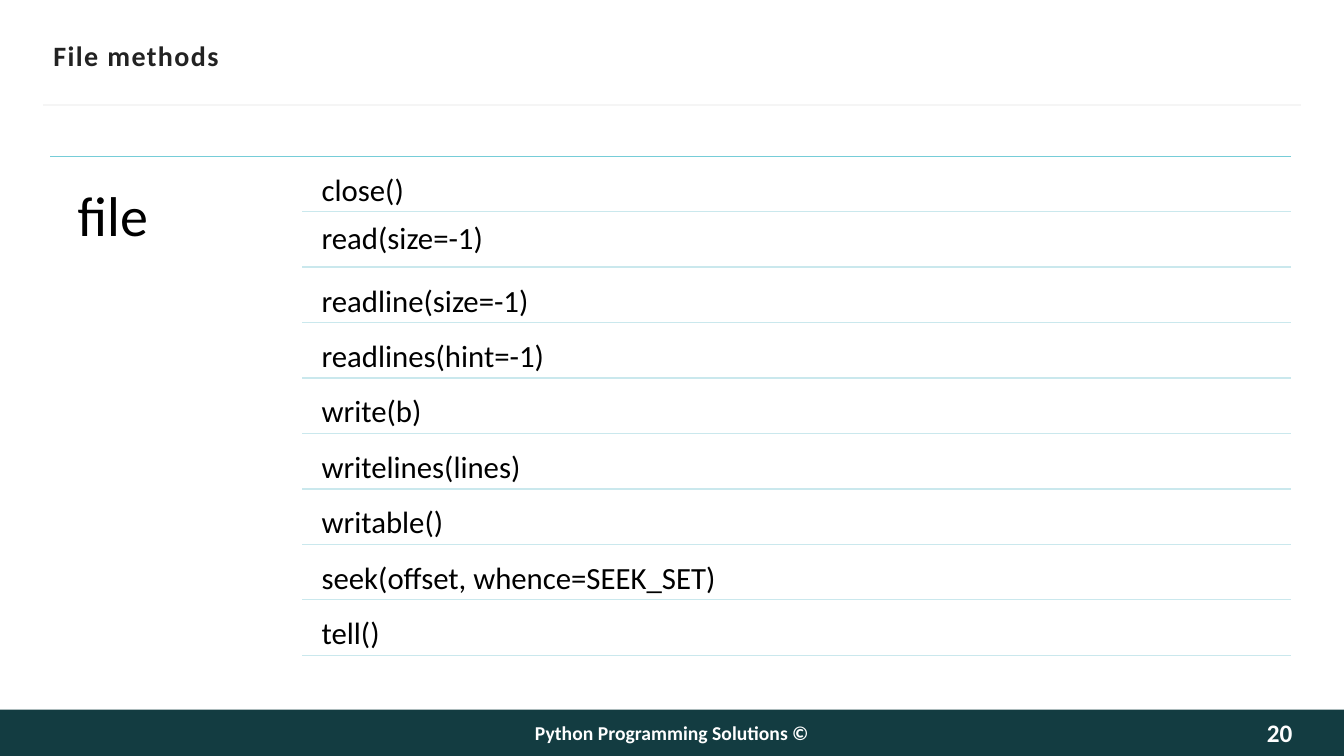
import pptx
import pptx.util
import pptx.dml.color
import pptx.enum.shapes
import pptx.enum.text
import pptx.oxml

Inches = pptx.util.Inches
Pt = pptx.util.Pt
Align = pptx.enum.text.PP_ALIGN
Anchor = pptx.enum.text.MSO_ANCHOR

HEADING = "File methods"
OBJECT_NAME = "file"
METHODS = [
    "close()",
    "read(size=-1)",
    "readline(size=-1)",
    "readlines(hint=-1)",
    "write(b)",
    "writelines(lines)",
    "writable()",
    "seek(offset, whence=SEEK_SET)",
    "tell()",
]
TIGHT_METHOD = "read(size=-1)"
FOOTER = "Python Programming Solutions ©"
PAGE_NUMBER = "20"

COLORS = {
    "heading": "222222",
    "text": "000000",
    "band": "133C41",
    "heading_rule": "F5F5F5",
    "top_rule": "76CDD8",
    "method_rule": "CAE8ED",
    "footer": "FFFFFF",
    "page_number": "FEFEFE",
}
FONT = "Calibri"
FIRST_ROW = 1.6
ROW_PITCH = 0.55
ROW_HEIGHT = 0.5
RIGHT_EDGE = 12.8
BAND_TOP = 7.04


def color(name):
    return pptx.dml.color.RGBColor.from_string(COLORS[name])


def place(part, left, top, width, height):
    part.left, part.top = Inches(left), Inches(top)
    part.width, part.height = Inches(width), Inches(height)


def write(part, text, size, color_name, insets, bold=False,
          align=Align.LEFT, anchor=Anchor.TOP, wrap=True):
    frame = part.text_frame
    frame.text = text
    frame.word_wrap = wrap
    frame.auto_size = pptx.enum.text.MSO_AUTO_SIZE.NONE
    frame.vertical_anchor = anchor
    frame.margin_left = frame.margin_right = Inches(insets[0])
    frame.margin_top = frame.margin_bottom = Inches(insets[1])
    paragraph = frame.paragraphs[0]
    paragraph.alignment = align
    paragraph.font.name = FONT
    paragraph.font.size = Pt(size)
    paragraph.font.bold = bold
    paragraph.font.color.rgb = color(color_name)
    return paragraph


def add_text(slide, box, *content, **style):
    return write(slide.shapes.add_textbox(*map(Inches, box)), *content, **style)


def add_rule(slide, left, right, y, color_name, weight=1):
    rule = slide.shapes.add_connector(
        pptx.enum.shapes.MSO_CONNECTOR.STRAIGHT,
        Inches(left), Inches(y), Inches(right), Inches(y))
    rule.line.color.rgb = color(color_name)
    rule.line.width = Pt(weight)
    rule._element.spPr.append(pptx.oxml.parse_xml(
        '<a:effectLst xmlns:a="http://schemas.openxmlformats.org/drawingml/2006/main"/>'))


def add_heading(slide):
    heading = slide.shapes.title
    place(heading, 0.53, 0.33, 12.29, 0.44)
    paragraph = write(heading, HEADING, 20, "heading", (0, 0.05), bold=True,
                      anchor=Anchor.MIDDLE, wrap=False)
    paragraph.runs[0].font._element.set("spc", "100")
    add_rule(slide, 0.43, 12.9, 1.04, "heading_rule", 1.5)


def add_methods(slide):
    add_rule(slide, 0.5, RIGHT_EDGE, 1.55, "top_rule")
    object_name = add_text(slide, (0.5, FIRST_ROW, 2.4, 5), OBJECT_NAME, 40,
                           "text", (0.27, 0.27))
    object_name.line_spacing = 0.9
    for row, method in enumerate(METHODS):
        top = FIRST_ROW + row * ROW_PITCH
        tight = method == TIGHT_METHOD
        text_top = top - 0.03 if tight else top
        paragraph = add_text(slide, (3.1, text_top, 9.65, ROW_HEIGHT), method, 22,
                             "text", (0.09, 0.09))
        if tight:
            paragraph.line_spacing = 0.9
        add_rule(slide, 3, RIGHT_EDGE, top + ROW_HEIGHT, "method_rule")


def add_footer(slide):
    band = slide.shapes.add_shape(
        pptx.enum.shapes.MSO_SHAPE.RECTANGLE,
        0, Inches(BAND_TOP), Inches(13.33), Inches(0.46))
    band.shadow.inherit = False
    band.fill.solid()
    band.fill.fore_color.rgb = color("band")
    band.line.fill.background()
    add_text(slide, (3.5, BAND_TOP, 6.33, 0.45), FOOTER, 14, "footer", (0.1, 0.05),
             bold=True, align=Align.CENTER, anchor=Anchor.MIDDLE)
    add_text(slide, (12.15, BAND_TOP, 0.67, 0.46), PAGE_NUMBER, 18, "page_number",
             (0, 0), bold=True, align=Align.RIGHT, anchor=Anchor.MIDDLE, wrap=False)


def main():
    deck = pptx.Presentation()
    deck.slide_width, deck.slide_height = Inches(13.33), Inches(7.5)
    slide = deck.slides.add_slide(deck.slide_layouts.get_by_name("Title Only"))
    add_heading(slide)
    add_methods(slide)
    add_footer(slide)
    deck.save("out.pptx")


if __name__ == "__main__":
    main()
